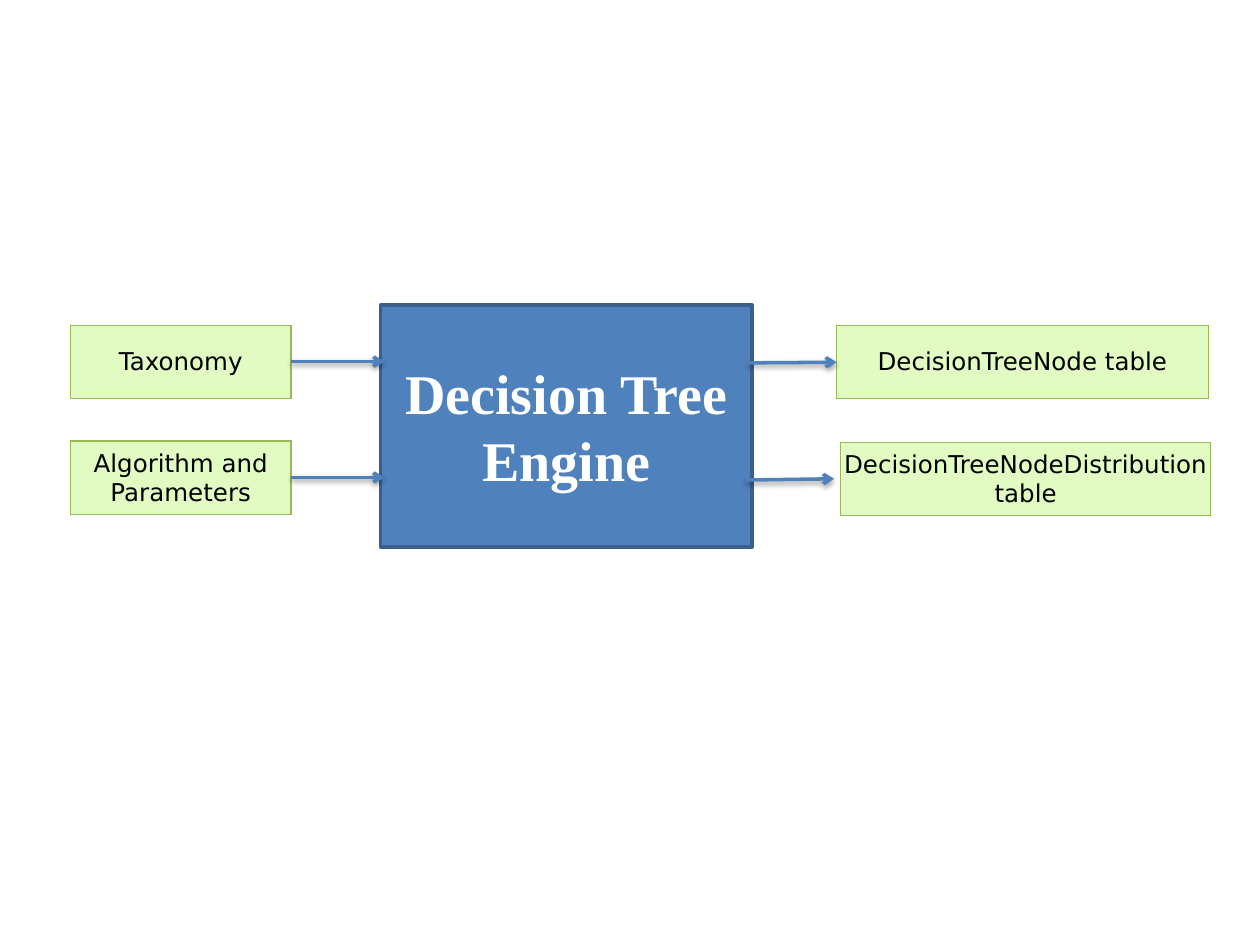
"""Build a slide showing the inputs and outputs of the decision tree engine."""
import dataclasses

import lxml.etree
import pptx
import pptx.dml.color
import pptx.enum.shapes
import pptx.enum.text
import pptx.oxml
import pptx.oxml.ns
import pptx.util


@dataclasses.dataclass(frozen=True)
class Theme:
    """Colours, type and line sizes of the slide."""
    blue: str = "4F81BD"
    navy: str = "3A5F8C"
    green: str = "E2FBC2"
    olive: str = "98B955"
    black: str = "000000"
    white: str = "FFFFFF"
    title: tuple = (("name", "Times New Roman"), ("size", 32), ("bold", True))
    label: tuple = (("name", "DejaVu Sans"), ("size", 14), ("bold", False))
    heavy: float = 2
    thin: float = 0.75


class Diagram:
    """Draws styled elements on a grid of 100 columns by 75 rows."""

    def __init__(self, prs, theme):
        """Add a blank slide and measure its grid."""
        self.theme = theme
        self.s = prs.slides.add_slide(prs.slide_layouts[6])
        self.col, self.row = prs.slide_width / 100, prs.slide_height / 75

    def grid(self, *cells):
        """Turn alternating columns and rows into lengths."""
        return [round(n * (self.row if i % 2 else self.col)) for i, n in enumerate(cells)]

    def rgb(self, value):
        """Return a colour object."""
        return pptx.dml.color.RGBColor.from_string(value)

    def paint(self, sp, color):
        """Fill an element with one colour."""
        sp.fill.solid()
        sp.fill.fore_color.rgb = self.rgb(color)

    def stroke(self, sp, color):
        """Give an element a heavy line."""
        sp.line.color.rgb = self.rgb(color)
        sp.line.width = pptx.util.Pt(self.theme.heavy)

    def text(self, tf, lines, font, color):
        """Set centred paragraphs."""
        tf.word_wrap = True
        for i, line in enumerate(lines):
            p = tf.add_paragraph() if i else tf.paragraphs[0]
            p.alignment = pptx.enum.text.PP_ALIGN.CENTER
            r = p.add_run()
            r.text = line
            r.font.color.rgb = self.rgb(color)
            for key, value in font:
                setattr(r.font, key, pptx.util.Pt(value) if key == "size" else value)

    def engine(self, lines, *cells):
        """Draw the central block."""
        sp = self.s.shapes.add_shape(pptx.enum.shapes.MSO_SHAPE.RECTANGLE, *self.grid(*cells))
        sp.shadow.inherit = False
        self.paint(sp, self.theme.blue)
        self.stroke(sp, self.theme.navy)
        sp.text_frame.vertical_anchor = pptx.enum.text.MSO_ANCHOR.MIDDLE
        self.text(sp.text_frame, lines, self.theme.title, self.theme.white)

    def table(self, label, *cells):
        """Draw a bordered one-cell table."""
        table = self.s.shapes.add_table(1, 1, *self.grid(*cells)).table
        table.first_row = table.horz_banding = False
        cell = table.cell(0, 0)
        margin = pptx.util.Inches(0.01)
        layout = {"margin_left": margin, "margin_right": margin, "margin_top": margin,
                  "margin_bottom": 0, "vertical_anchor": pptx.enum.text.MSO_ANCHOR.MIDDLE}
        for key, value in layout.items():
            setattr(cell, key, value)
        tc_pr = cell._tc.get_or_add_tcPr()
        for side in "LRTB":
            tc_pr.append(pptx.oxml.parse_xml(
                f'<a:ln{side} {pptx.oxml.ns.nsdecls("a")} w="{pptx.util.Pt(self.theme.thin)}">'
                f'<a:solidFill><a:srgbClr val="{self.theme.olive}"/></a:solidFill></a:ln{side}>'))
        self.paint(cell, self.theme.green)
        self.text(cell.text_frame, [label], self.theme.label, self.theme.black)

    def arrow(self, *ends):
        """Draw an arrow with a soft shadow below it."""
        sp = self.s.shapes.add_connector(
            pptx.enum.shapes.MSO_CONNECTOR.STRAIGHT, *self.grid(*ends))
        self.stroke(sp, self.theme.blue)
        lxml.etree.SubElement(sp.line._get_or_add_ln(), pptx.oxml.ns.qn("a:tailEnd"), type="arrow")
        sp._element.spPr.append(pptx.oxml.parse_xml(
            f'<a:effectLst {pptx.oxml.ns.nsdecls("a")}>'
            '<a:outerShdw blurRad="40000" dist="20000" dir="5400000" rotWithShape="0">'
            f'<a:srgbClr val="{self.theme.black}"><a:alpha val="38000"/></a:srgbClr>'
            '</a:outerShdw></a:effectLst>'))


def main():
    """Build and save the slide."""
    prs = pptx.Presentation()
    prs.slide_width, prs.slide_height = pptx.util.Inches(10), pptx.util.Inches(7.5)
    d = Diagram(prs, Theme())
    d.engine(["Decision Tree", "Engine"], 30.2, 24.2, 29.5, 19.2)
    left, width, height = 5.6, 17.5, 5.8
    for label, top in (("Taxonomy", 25.8), ("Algorithm and Parameters", 35)):
        middle = top + height / 2
        d.table(label, left, top, width, height)
        d.arrow(left + width, middle, 30.5, middle)
    outputs = (("DecisionTreeNode table", 66.4, 25.8, 29.5, 59.4, 66.4, 28.8, 28.75),
               ("DecisionTreeNodeDistribution table", 66.7, 35.1, 29.4, 59.2, 66.2, 38.1, 38))
    for label, x, top, span, start, end, y1, y2 in outputs:
        d.table(label, x, top, span, height)
        d.arrow(start, y1, end, y2)
    prs.save("out.pptx")


if __name__ == "__main__":
    main()
